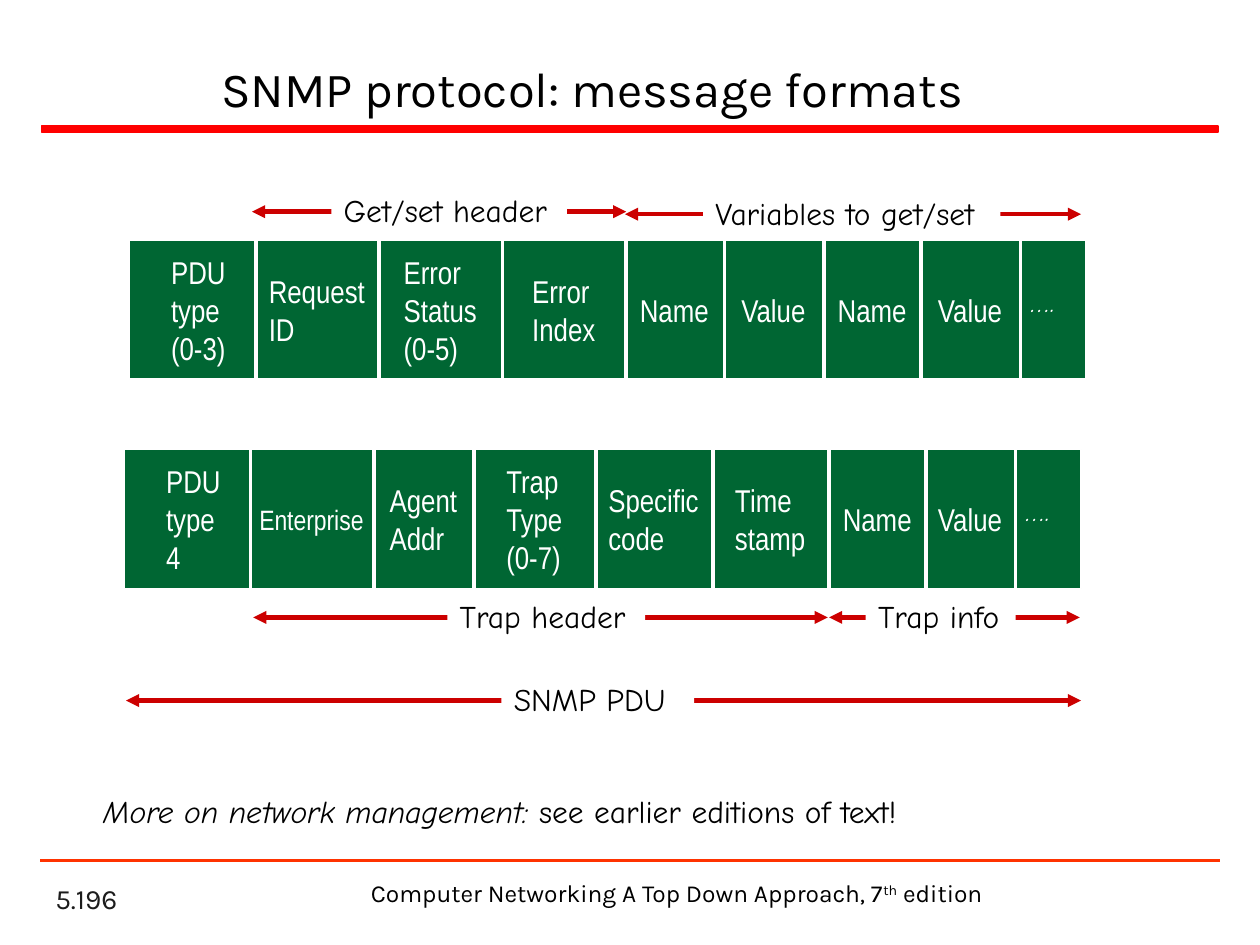
from itertools import pairwise

from lxml.etree import SubElement
from pptx import Presentation
from pptx.dml.color import RGBColor
from pptx.enum.shapes import MSO_CONNECTOR, MSO_SHAPE
from pptx.enum.text import MSO_ANCHOR, MSO_AUTO_SIZE, PP_ALIGN
from pptx.oxml.ns import qn
from pptx.util import Inches, Pt

BLACK = RGBColor(0x00, 0x00, 0x00)
GRAY = RGBColor(0x1C, 0x1C, 0x1C)
WHITE = RGBColor(0xFF, 0xFF, 0xFF)
GREEN = RGBColor(0x00, 0x66, 0x33)
RED = RGBColor(0xFF, 0x00, 0x00)
ORANGE = RGBColor(0xFF, 0x33, 0x00)
ARROW_RED = RGBColor(0xCC, 0x00, 0x00)
HEADING, HAND, NARROW = "Karla", "Comic Neue", "Arial Narrow"

# Content
TITLE = "SNMP protocol: message formats"
PAGE_NUMBER = "5.196"
FOOTER = [("Computer Networking A Top Down Approach, 7", {}),
          ("th", {"raised": True}), (" edition", {})]
CLOSING = [("More on network management: ", {"italic": True}),
           ("see earlier editions of text!", {})]

# Each message: top, field edges, fields as (lines, text width, size)
ROW_HEIGHT = 1.1
MESSAGES = [
    (1.91, [1.03, 2.03, 3.01, 3.99, 4.97, 5.75, 6.54, 7.31, 8.1, 8.62], [
        (["PDU", "type", "(0-3)"], 0.64, 18),
        (["Request", "ID"], 0.97, 18),
        (["Error", "Status", "(0-5)"], 0.79, 18),
        (["Error", "Index"], 0.71, 18),
        (["Name"], 0.76, 18),
        (["Value"], 0.72, 18),
        (["Name"], 0.75, 18),
        (["Value"], 0.72, 18),
    ]),
    (3.57, [0.99, 1.99, 2.97, 3.76, 4.73, 5.66, 6.58, 7.35, 8.06, 8.58], [
        (["PDU", "type", "4"], 0.64, 18),
        (["Enterprise"], 1.04, 16),
        (["Agent", "Addr"], 0.74, 18),
        (["Trap", "Type", "(0-7)"], 0.65, 18),
        (["Specific", "code"], 0.93, 18),
        (["Time", "stamp"], 0.77, 18),
        (["Name"], 0.75, 18),
        (["Value"], 0.72, 18),
    ]),
]
MORE = "…."
PDU_NUDGE = 0.05

# Spans: label, arrow start, arrow end, arrow height, label left, label width
SPANS = [
    ("Get/set header", 2, 4.97, 1.68, 2.63, 1.87),
    ("Variables to get/set", 4.96, 8.58, 1.7, 5.58, 2.36),
    ("Trap header", 2.01, 6.57, 4.9, 3.55, 1.57),
    ("Trap info", 6.58, 8.57, 4.9, 6.87, 1.19),
    ("SNMP PDU", 1, 8.58, 5.56, 3.98, 1.53),
]
LABEL_HEIGHT = 0.4

prs = Presentation()
prs.slide_width, prs.slide_height = Inches(10), Inches(7.5)
slide = prs.slides.add_slide(prs.slide_layouts[5])
shapes = slide.shapes


def add_run(paragraph, text, font, size, color, italic=False, raised=False):
    run = paragraph.add_run()
    run.text = text
    run.font.name, run.font.size = font, Pt(size)
    run.font.color.rgb = color
    run.font.italic = italic
    if raised:
        run.font._element.set("baseline", "30000")


def add_text(left, top, width, height, paragraphs, font, size, color,
             wrap=False, align=PP_ALIGN.LEFT, anchor=MSO_ANCHOR.TOP, spacing=None):
    """Add a text box; each paragraph is a list of (text, run options)."""
    box = shapes.add_textbox(*map(Inches, (left, top, width, height)))
    frame = box.text_frame
    frame.word_wrap = wrap
    frame.auto_size = MSO_AUTO_SIZE.NONE
    frame.vertical_anchor = anchor
    for i, runs in enumerate(paragraphs):
        paragraph = frame.add_paragraph() if i else frame.paragraphs[0]
        paragraph.alignment = align
        if spacing:
            paragraph.line_spacing = spacing
        for text, options in runs:
            add_run(paragraph, text, font, size, color, **options)
    return box


def add_bar(left, top, width, height, fill, line, line_width):
    bar = shapes.add_shape(MSO_SHAPE.RECTANGLE, *map(Inches, (left, top, width, height)))
    bar.shadow.inherit = False
    bar.fill.solid()
    bar.fill.fore_color.rgb = fill
    bar.line.color.rgb = line
    bar.line.width = Pt(line_width)


def add_line(x1, y1, x2, y2, color, width, arrows=False):
    line = shapes.add_connector(MSO_CONNECTOR.STRAIGHT, *map(Inches, (x1, y1, x2, y2)))
    line.line.color.rgb = color
    line.line.width = Pt(width)
    if arrows:
        for end in ("a:headEnd", "a:tailEnd"):
            SubElement(line.line._get_or_add_ln(), qn(end), type="triangle")
    SubElement(line._element.spPr, qn("a:effectLst"))


# Title
title = shapes.title
title.left, title.top, title.width, title.height = map(Inches, (0.45, 0.24, 8.5, 0.91))
title.text_frame.vertical_anchor = MSO_ANCHOR.MIDDLE
heading = title.text_frame.paragraphs[0]
heading.alignment = PP_ALIGN.CENTER
add_run(heading, TITLE, HEADING, 28, BLACK)

# Rules and footer
add_bar(0.33, 1, 9.34, 0.05, RED, RED, 1)
add_line(0.32, 6.83, 9.68, 6.83, ORANGE, 1.5)
add_text(0.34, 6.98, 2.08, 0.33, [[(PAGE_NUMBER, {})]], HEADING, 16, GRAY,
         wrap=True, anchor=MSO_ANCHOR.BOTTOM)
add_text(2.83, 6.92, 5.08, 0.34, [FOOTER], HEADING, 14, BLACK,
         wrap=True, align=PP_ALIGN.CENTER)

# Message rows: one bar, dividers, and text centred in each field
for top, edges, fields in MESSAGES:
    add_bar(edges[0], top, edges[-1] - edges[0], ROW_HEIGHT, GREEN, WHITE, 0.75)
    for x in edges[1:-1]:
        add_line(x, top, x, top + ROW_HEIGHT, WHITE, 2)
    for i, ((start, end), (lines, width, size)) in enumerate(zip(pairwise(edges), fields)):
        left = (start + end - width) / 2 + (0 if i else PDU_NUDGE)
        add_text(left, top, width, ROW_HEIGHT, [[(line, {})] for line in lines],
                 NARROW, size, WHITE, anchor=MSO_ANCHOR.MIDDLE)
    add_text(edges[-1] - 0.54, top + 0.4, 0.54, 0.29, [[(MORE, {"italic": True})]],
             HAND, 16, WHITE, spacing=Pt(12))

# Spans: double arrows broken by a white label
for label, start, end, y, left, width in SPANS:
    add_line(start, y, end, y, ARROW_RED, 2.5, arrows=True)
for label, start, end, y, left, width in SPANS:
    box = add_text(left, y - LABEL_HEIGHT / 2 - 0.01, width, LABEL_HEIGHT,
                   [[(label, {})]], HAND, 18, BLACK)
    box.fill.solid()
    box.fill.fore_color.rgb = WHITE

# Closing remark
add_text(0.72, 6.24, 6.71, 0.4, [CLOSING], HAND, 18, BLACK)

prs.save("out.pptx")
